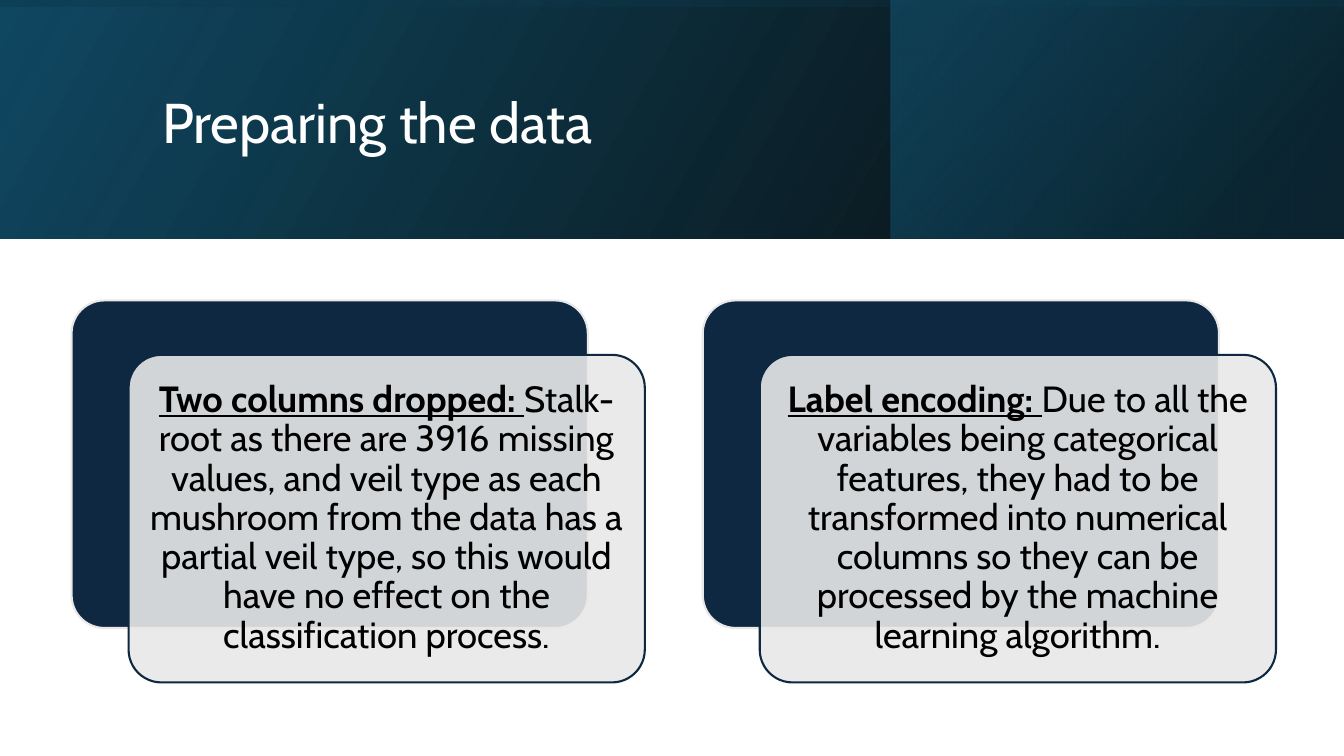
from lxml import etree
from pptx import Presentation
from pptx import util as u
from pptx.dml.color import RGBColor
from pptx.enum import shapes, text
from pptx.oxml import ns

WIDTH, HEIGHT = 13.33, 7.5
FONT = "Cabin"
COLOURS = {
    "black": "000000", "white": "FFFFFF", "navy": "0E2841", "grey": "E8E8E8",
    "teal": "104862", "deep": "0B3041", "bright": "156082",
}
CARDS = [
    ("Two columns dropped: ",
     "Stalk-root as there are 3916 missing values, and veil type as each mushroom "
     "from the data has a partial veil type, so this would have no effect on the "
     "classification process."),
    ("Label encoding: ",
     "Due to all the variables being categorical features, they had to be "
     "transformed into numerical columns so they can be processed by the machine "
     "learning algorithm."),
]


def colour(name):
    """Return the named colour."""
    return RGBColor.from_string(COLOURS[name])


def set_alpha(colour_element, percent):
    """Give a colour element an opacity in percent."""
    alpha = etree.SubElement(colour_element, ns.qn("a:alpha"))
    alpha.set("val", str(percent * 1000))


def add_block(slide, kind, left, top, width, height):
    """Add a shape without shadow, measured in inches."""
    shape = slide.shapes.add_shape(
        kind, u.Inches(left), u.Inches(top), u.Inches(width), u.Inches(height))
    shape.shadow.inherit = False
    return shape


def add_run(paragraph, words, size, name, strong=False):
    """Add one run, bold and underlined when strong."""
    run = paragraph.add_run()
    run.text = words
    font = run.font
    font.name, font.size = FONT, u.Pt(size)
    font.bold = font.underline = strong
    font.color.rgb = colour(name)


def add_gradient(slide, box, stops, angle, rotation=0):
    """Add a mirrored rectangle whose gradient stops are (position, colour, opacity)."""
    left, top, width, height = box
    if rotation:
        left, top = left + (width - height) / 2, top + (height - width) / 2
        width, height = height, width
    shape = add_block(slide, shapes.MSO_SHAPE.RECTANGLE, left, top, width, height)
    shape.rotation = rotation
    shape.line.fill.background()
    properties = shape._element.spPr
    properties.find(ns.qn("a:xfrm")).set("flipH", "1")
    gradient = etree.Element(ns.qn("a:gradFill"), rotWithShape="1")
    stop_list = etree.SubElement(gradient, ns.qn("a:gsLst"))
    for position, name, opacity in stops:
        stop = etree.SubElement(stop_list, ns.qn("a:gs"), pos=str(position * 1000))
        value = etree.SubElement(stop, ns.qn("a:srgbClr"), val=COLOURS[name])
        set_alpha(value, opacity)
    etree.SubElement(gradient, ns.qn("a:lin"), ang=str(angle * 60000), scaled="0")
    properties.find(ns.qn("a:prstGeom")).addnext(gradient)


def add_header(slide, left, top, width, height):
    """Add the layered gradient band and the title."""
    band = (left, top, width, height)
    side = width * 0.663
    add_gradient(slide, band, [(0, "black", 96), (100, "teal", 100)], 330)
    add_gradient(slide, (left + side, top, width - side, height),
                 [(19, "deep", 68), (100, "bright", 48)], 320)
    add_gradient(slide, band, [(23, "teal", 16), (99, "black", 45)], 350, 270)
    title = slide.shapes.add_textbox(
        u.Inches(left + 1.51), u.Inches(top + 0.38), u.Inches(10.63), u.Inches(1.72))
    frame = title.text_frame
    frame.word_wrap = True
    frame.vertical_anchor = text.MSO_ANCHOR.MIDDLE
    paragraph = frame.paragraphs[0]
    paragraph.line_spacing = 0.9
    add_run(paragraph, "Preparing the data", 40, "white")


def add_panel(slide, box, fill, line):
    """Add one rounded panel."""
    panel = add_block(slide, shapes.MSO_SHAPE.ROUNDED_RECTANGLE, *box)
    panel.adjustments[0] = 0.1
    panel.fill.solid()
    panel.fill.fore_color.rgb = colour(fill)
    panel.line.color.rgb = colour(line)
    panel.line.width = u.Pt(1.5)
    return panel


def add_card(slide, left, top, width, height, heading, body):
    """Add a dark panel with an offset translucent text panel over it."""
    add_panel(slide, (left, top, width, height), "navy", "grey")
    front = add_panel(slide, (left + 0.565, top + 0.54, width, height), "grey", "navy")
    set_alpha(front._element.spPr.find(
        ns.qn("a:solidFill")).find(ns.qn("a:srgbClr")), 90)
    frame = front.text_frame
    frame.word_wrap = True
    frame.vertical_anchor = text.MSO_ANCHOR.MIDDLE
    frame.margin_left = frame.margin_right = u.Inches(0.11)
    frame.margin_top = frame.margin_bottom = u.Inches(0.11)
    paragraph = frame.paragraphs[0]
    paragraph.alignment = text.PP_ALIGN.CENTER
    paragraph.line_spacing = 0.9
    add_run(paragraph, heading, 26, "black", strong=True)
    add_run(paragraph, body, 26, "black")


def main():
    """Build and save the slide."""
    presentation = Presentation()
    presentation.slide_width = u.Inches(WIDTH)
    presentation.slide_height = u.Inches(HEIGHT)
    slide = presentation.slides.add_slide(presentation.slide_layouts[6])
    add_header(slide, 0, 0, WIDTH, 2.37)
    for column, (heading, body) in enumerate(CARDS):
        add_card(slide, 0.71 + column * 6.26, 2.98, 5.12, 3.25, heading, body)
    presentation.save("out.pptx")


if __name__ == "__main__":
    main()
